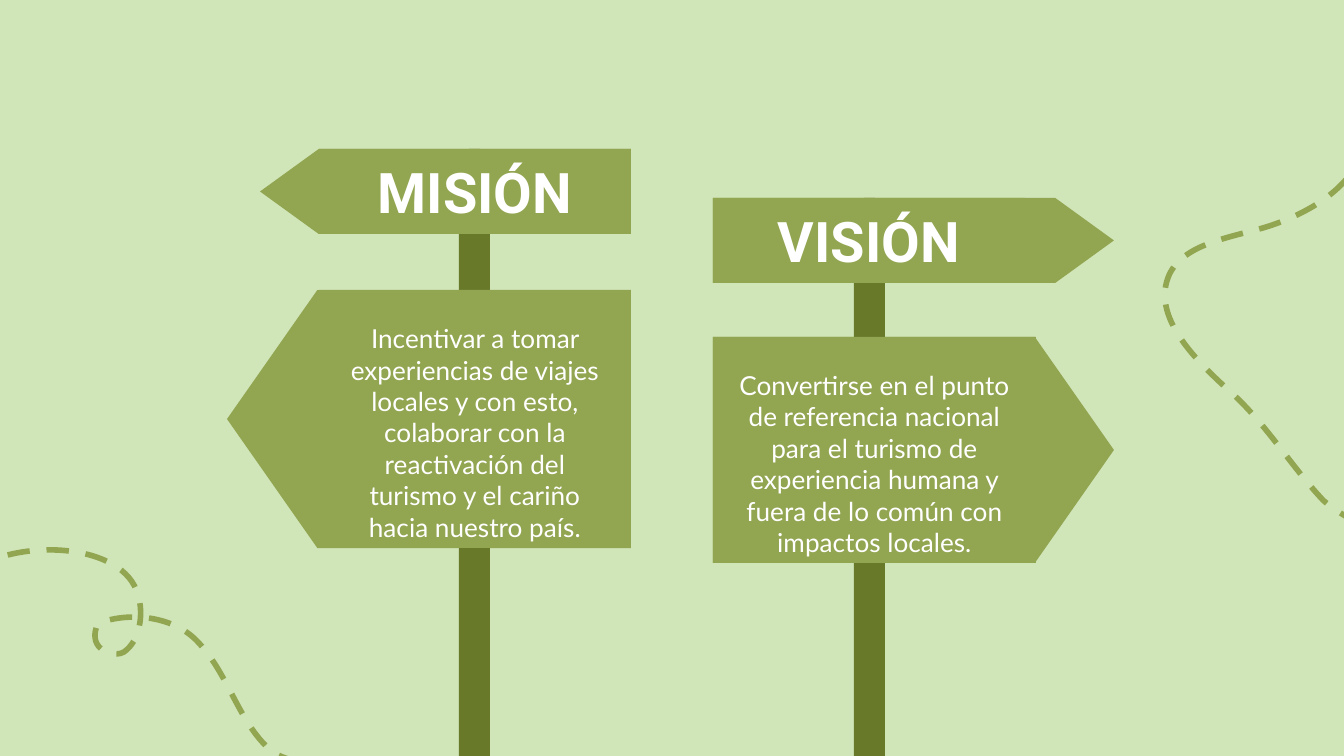
from lxml import etree
from pptx import Presentation, util as u
from pptx.dml.color import RGBColor
from pptx.enum import dml, shapes, text
from pptx.oxml import ns

HEX = {"back": "D0E5B8", "sign": "92A551", "post": "687929", "text": "FFFFFF"}
SCALE = 914400 / 134.4
WIDE, HIGH = 1344, 756

# edge: the straight side; post: left, top, width, height in px
SIGNS = [
    {"side": "left", "edge": 631, "post": (459, 149, 31, 634),
     "boards": [
         {"top": 149, "high": 85, "plate": 371, "panel": 312, "adj": 0.69,
          "kind": "title", "words": "MISIÓN"},
         {"top": 290, "high": 258, "plate": 404, "panel": 312, "adj": 0.35,
          "kind": "body",
          "words": "Incentivar a tomar experiencias de viajes locales y con "
                   "esto, colaborar con la reactivación del turismo y el "
                   "cariño hacia nuestro país."}]},
    {"side": "right", "edge": 713, "post": (854, 198, 31, 617),
     "boards": [
         {"top": 198, "high": 85, "plate": 401, "panel": 312, "adj": 0.69,
          "kind": "title", "words": "VISIÓN"},
         {"top": 337, "high": 226, "plate": 401, "panel": 323, "adj": 0.35,
          "kind": "body",
          "words": "Convertirse en el punto de referencia nacional para el "
                   "turismo de experiencia humana y fuera de lo común con "
                   "impactos locales."}]},
]
FONTS = {
    "title": {"name": "Roboto", "size": u.Pt(30), "bold": True},
    "body": {"name": "Lato", "size": u.Pt(14), "bold": False},
}
# left, top, right, bottom in px
INSETS = {"title": (13, 13, 13, 13), "body": (20, 27, 20, 0)}
SIDES = ("left", "top", "right", "bottom")

# Box, then the start point and three points for each Bézier piece
TRAILS = [
    ((-28, 550, 364, 221),
     [(-28, 571), (17, 538), (124, 542), (138, 595),
      (144, 614), (140, 641), (124, 652), (116, 657), (101, 652), (97, 644),
      (93, 637), (95, 624), (102, 622), (133, 612), (173, 617), (196, 640),
      (227, 671), (237, 718), (267, 747), (285, 765), (314, 761), (336, 771)]),
    ((1165, 145, 203, 386),
     [(1363, 145), (1356, 188), (1304, 216), (1263, 228),
      (1228, 238), (1180, 245), (1168, 278), (1152, 321), (1202, 366),
      (1235, 396), (1268, 427), (1292, 467), (1323, 500),
      (1336, 512), (1349, 517), (1368, 531)]),
]


def px(n):
    return u.Emu(round(n * SCALE))


def color(name):
    return RGBColor.from_string(HEX[name])


def paint(shape, fill):
    shape.shadow.inherit = False
    shape.fill.solid()
    shape.fill.fore_color.rgb = color(fill)
    shape.line.fill.background()


def add(kind, box, fill):
    shape = slide.shapes.add_shape(kind, *map(px, box))
    paint(shape, fill)
    return shape


def outline(box, start, steps, close=False):
    """Freeform in a box; a step of one point is a line, of three a curve."""
    left, top, wide, high = box
    pen = slide.shapes.build_freeform(px(left), px(top))
    pen.add_line_segments([(px(left + wide), px(top + high))], close=False)
    shape = pen.convert_to_shape()
    track = shape._element.find(".//" + ns.qn("a:path"))
    for old in list(track):
        track.remove(old)
    tags = {1: "a:lnTo", 3: "a:cubicBezTo"}
    moves = [("a:moveTo", [start])] + [(tags[len(s)], s) for s in steps]
    for tag, dots in moves:
        move = etree.SubElement(track, ns.qn(tag))
        for x, y in dots:
            etree.SubElement(move, ns.qn("a:pt"),
                             x=str(px(x - left)), y=str(px(y - top)))
    if close:
        etree.SubElement(track, ns.qn("a:close"))
    return shape


def draw_trail(box, dots):
    steps = [dots[i:i + 3] for i in range(1, len(dots), 3)]
    trail = outline(box, dots[0], steps)
    trail.shadow.inherit = False
    trail.fill.background()
    trail.line.color.rgb = color("sign")
    trail.line.width = u.Pt(3)
    trail.line.dash_style = dml.MSO_LINE.DASH


def draw_post(box):
    """Post with tall, narrow rounded corners."""
    x, y, wide, high = box
    r, b = x + wide, y + high
    steps = [[(x + 4, y), (x, y + 12), (x, y + 25)], [(x, b - 25)],
             [(x, b - 12), (x + 4, b), (x + 10, b)], [(r - 10, b)],
             [(r - 4, b), (r, b - 12), (r, b - 25)], [(r, y + 25)],
             [(r, y + 12), (r - 4, y), (r - 10, y)]]
    paint(outline(box, (x + 10, y), steps, close=True), "post")


def place(sign, board, wide):
    """Box of the given width that touches the sign's straight edge."""
    left = sign["edge"] - (wide if sign["side"] == "left" else 0)
    return left, board["top"], wide, board["high"]


def write(panel, board):
    frame = panel.text_frame
    frame.word_wrap = True
    frame.vertical_anchor = text.MSO_ANCHOR.MIDDLE
    for side, gap in zip(SIDES, INSETS[board["kind"]]):
        setattr(frame, "margin_" + side, px(gap))
    para = frame.paragraphs[0]
    para.alignment = text.PP_ALIGN.CENTER
    run = para.add_run()
    run.text = board["words"]
    for key, value in FONTS[board["kind"]].items():
        setattr(run.font, key, value)
    run.font.color.rgb = color("text")


def draw_sign(sign):
    for board in sign["boards"]:
        plate = add(shapes.MSO_SHAPE.PENTAGON,
                    place(sign, board, board["plate"]), "sign")
        plate.adjustments[0] = board["adj"]
        plate.rotation = 180 if sign["side"] == "left" else 0
    draw_post(sign["post"])
    for board in sign["boards"]:
        panel = add(shapes.MSO_SHAPE.RECTANGLE,
                    place(sign, board, board["panel"]), "sign")
        write(panel, board)


deck = Presentation()
deck.slide_width, deck.slide_height = px(WIDE), px(HIGH)
slide = deck.slides.add_slide(deck.slide_layouts[6])
slide.background.fill.solid()
slide.background.fill.fore_color.rgb = color("back")
for box, dots in TRAILS:
    draw_trail(box, dots)
for sign in SIGNS:
    draw_sign(sign)
deck.save("out.pptx")
